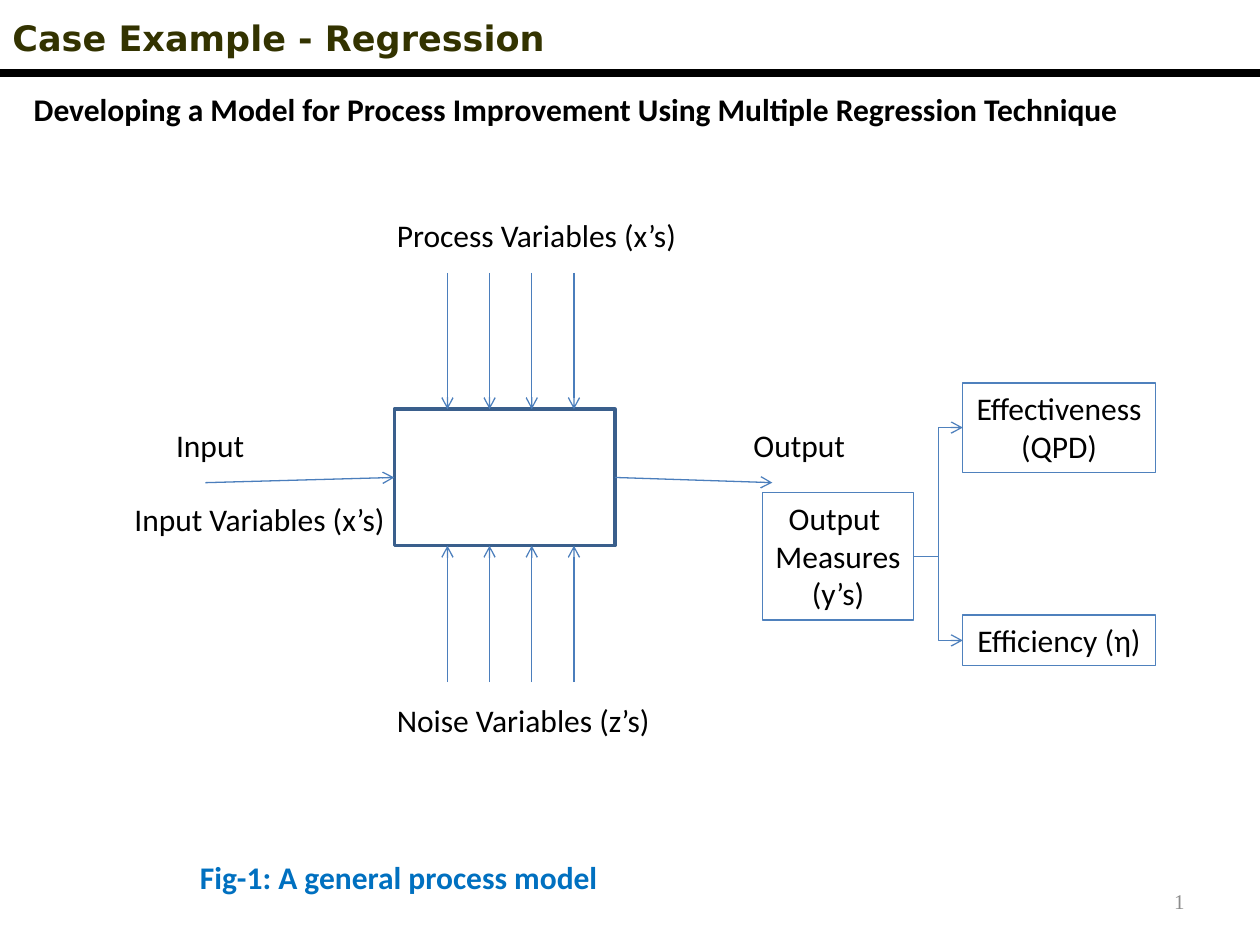
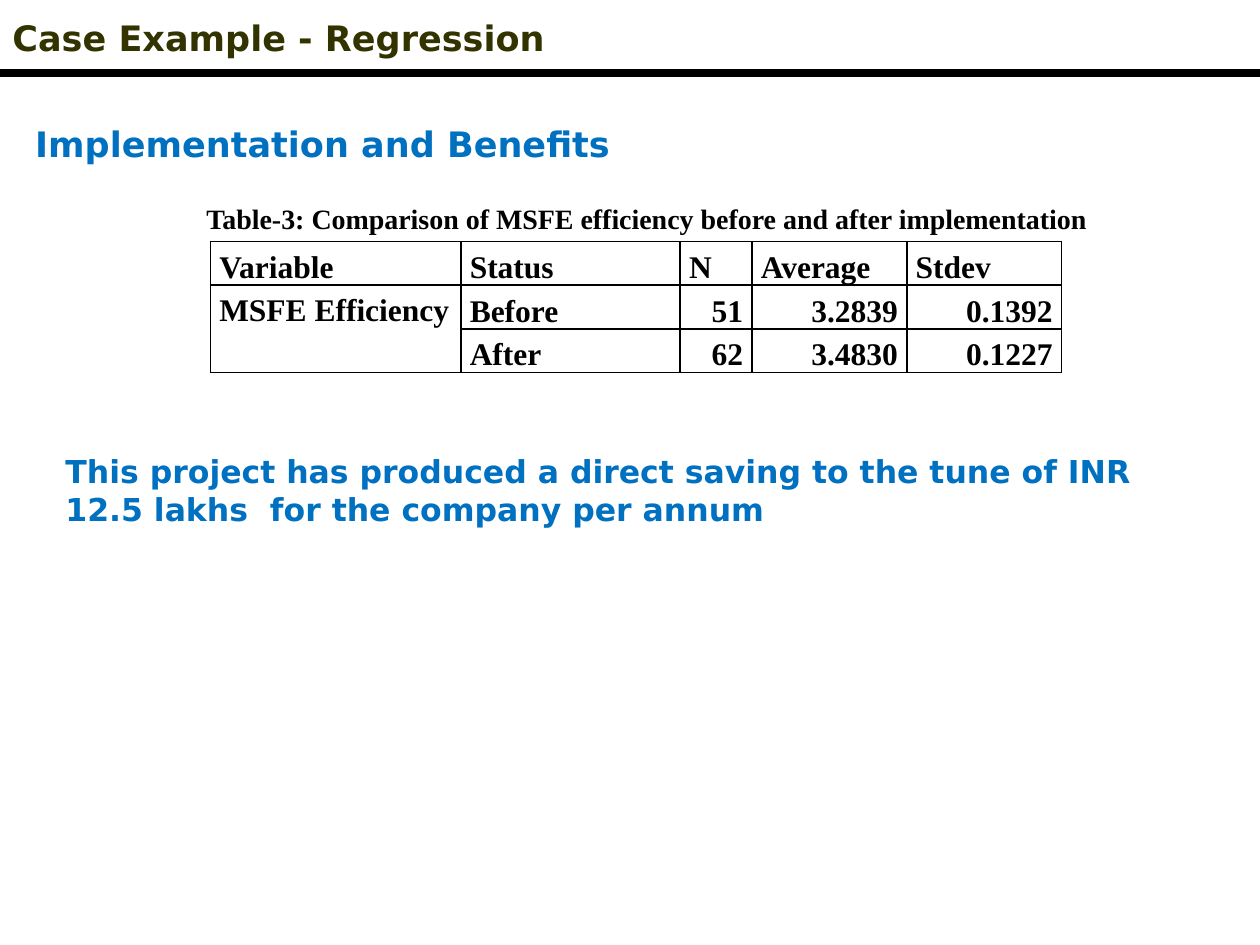
from pptx import Presentation
from pptx.dml.color import RGBColor
from pptx.enum.shapes import MSO_CONNECTOR, MSO_SHAPE
from pptx.enum.text import MSO_ANCHOR, PP_ALIGN
from pptx.oxml import parse_xml
from pptx.oxml.ns import nsdecls, qn
from pptx.util import Cm, Pt

STRAIGHT, ELBOW = MSO_CONNECTOR.STRAIGHT, MSO_CONNECTOR.ELBOW
RECT = MSO_SHAPE.RECTANGLE
TOP, MIDDLE, BOTTOM = MSO_ANCHOR.TOP, MSO_ANCHOR.MIDDLE, MSO_ANCHOR.BOTTOM
LEFT, CENTER, RIGHT, JUST = PP_ALIGN.LEFT, PP_ALIGN.CENTER, PP_ALIGN.RIGHT, PP_ALIGN.JUSTIFY
LEFT_SIDE, RIGHT_SIDE = 1, 3

BLACK, OLIVE, GREY, BLUE = "000000", "333300", "8C8C8C", "0070C0"
FLOW, FRAME, EDGE = "4B7EBC", "3A5F8C", "4F81BD"
SANS, WIDE, SERIF = "Calibri", "DejaVu Sans", "Times New Roman"
WIDTH, HEIGHT = 25.4, 19.05
LINE = 1.02  # height of a one-line text box


def color(code):
    return RGBColor.from_string(code)


class Deck:
    """Holds the shared style and the slide being filled; lengths are in cm."""

    def __init__(self):
        self.prs = Presentation()
        self.prs.slide_width, self.prs.slide_height = Cm(WIDTH), Cm(HEIGHT)
        self.slide = None

    def page(self, title):
        self.slide = self.prs.slides.add_slide(self.prs.slide_layouts[6])
        self.link((0, 1.48), (WIDTH, 1.48), BLACK, 4.5, arrow=False)
        self.text(title, 0, 0.2, 19.25, 1.09, size=20, font=WIDE, tint=OLIVE, bold=True)

    def style(self, frame, size=18, font=SANS, tint=BLACK, bold=False, align=LEFT):
        for par in frame.paragraphs:
            par.alignment = align
            par.font.size, par.font.name, par.font.bold = Pt(size), font, bold
            par.font.color.rgb = color(tint)

    def text(self, words, x, y, w, h=LINE, wrap=True, anchor=TOP, **look):
        frame = self.slide.shapes.add_textbox(Cm(x), Cm(y), Cm(w), Cm(h)).text_frame
        frame.word_wrap, frame.vertical_anchor = wrap, anchor
        frame.text = words
        self.style(frame, **look)

    def box(self, words, x, y, w, h, edge=EDGE, width=0.75):
        box = self.slide.shapes.add_shape(RECT, Cm(x), Cm(y), Cm(w), Cm(h))
        box.shadow.inherit = False
        box.fill.background()
        box.line.color.rgb, box.line.width = color(edge), Pt(width)
        if words:
            frame = box.text_frame
            frame.word_wrap, frame.vertical_anchor = False, TOP
            frame.text = words
            self.style(frame, align=CENTER)
        return box

    def link(self, start, end, tint=FLOW, width=0.75, kind=STRAIGHT, arrow=True):
        """Each end is an (x, y) point or a (shape, side) pair."""
        spots = [(0, 0) if hasattr(a, "line") else (a, b) for a, b in (start, end)]
        link = self.slide.shapes.add_connector(kind, *(Cm(v) for spot in spots for v in spot))
        for (shape, side), join in ((start, link.begin_connect), (end, link.end_connect)):
            if hasattr(shape, "line"):
                join(shape, side)
        link.line.color.rgb, link.line.width = color(tint), Pt(width)
        props = link.element.spPr
        if arrow:
            props.find(qn("a:ln")).append(parse_xml(f'<a:tailEnd {nsdecls("a")} type="arrow"/>'))
        props.append(parse_xml(f'<a:effectLst {nsdecls("a")}/>'))

    def cell(self, cell, words, align, anchor):
        cell.fill.background()
        cell.vertical_anchor = anchor
        cell.margin_left = cell.margin_right = Cm(0.18)
        cell.margin_top = cell.margin_bottom = 0
        cell.text = words
        self.style(cell.text_frame, font=SERIF, bold=True, align=align)
        cell.text_frame.paragraphs[0].line_spacing = 1.15
        props = cell._tc.get_or_add_tcPr()
        for i, side in enumerate("LRTB"):
            props.insert(i, parse_xml(
                f'<a:ln{side} {nsdecls("a")} w="{Pt(1)}"><a:solidFill>'
                f'<a:srgbClr val="{BLACK}"/></a:solidFill></a:ln{side}>'))

    def table(self, rows, x, y, widths, high):
        """The first column's body cells are merged into one."""
        table = self.slide.shapes.add_table(
            len(rows), len(widths), Cm(x), Cm(y), Cm(sum(widths)), Cm(high * len(rows))).table
        table.first_row = table.horz_banding = False
        for col, width in zip(table.columns, widths):
            col.width = Cm(width)
        for r, row in enumerate(rows):
            table.rows[r].height = Cm(high)
            for c, words in enumerate(row):
                align = RIGHT if r and c > 1 else LEFT
                anchor = TOP if r and c == 0 else BOTTOM
                self.cell(table.cell(r, c), words, align, anchor)
        table.cell(1, 0).merge(table.cell(len(rows) - 1, 0))
        table.cell(1, 0).margin_top = Cm(0.05)


def model(deck):
    deck.page("Case Example - Regression")
    deck.text("1", 18.21, 17.65, 5.92, anchor=MIDDLE, size=12, font=SERIF, tint=GREY, align=RIGHT)
    deck.text("Developing a Model for Process Improvement Using Multiple Regression Technique",
              0.43, 1.7, 24.97, bold=True)

    top, high = 8.25, 2.75
    core = deck.box("", 7.95, top, 4.45, high, FRAME, 2)
    deck.link((4.14, 9.73), (core, LEFT_SIDE))
    deck.link((core, RIGHT_SIDE), (15.57, 9.73))
    for i in range(4):
        x = 9.02 + 0.85 * i
        deck.link((x, top - high), (x, top))
        deck.link((x, top + 2 * high), (x, top + high))

    for words, x, y, w in (
        ("Input", 3.3, 8.46, 1.91),
        ("Output", 14.94, 8.46, 2.39),
        ("Process Variables (x’s)", 7.75, 4.24, 6.2),
        ("Noise Variables (z’s)", 7.75, 14, 5.66),
        ("Input Variables (x’s)", 2.46, 9.96, 5.61),
    ):
        deck.text(words, x, y, w, wrap=False)

    output = deck.box("Output \nMeasures\n(y’s)", 15.37, 9.93, 3.05, 2.57)
    for words, y, h in (("Effectiveness\n(QPD)", 7.72, 1.8), ("Efficiency (η)", 12.4, LINE)):
        goal = deck.box(words, 19.41, y, 3.88, h)
        deck.link((output, RIGHT_SIDE), (goal, LEFT_SIDE), EDGE, kind=ELBOW)

    deck.text("Fig-1: A general process model", 3.78, 17.17, 8.92, wrap=False, tint=BLUE, bold=True)


def gains(deck):
    deck.page("Case Example - Regression")
    deck.text("Implementation and Benefits", 0.46, 2.34, 12.24, 1.12, wrap=False, anchor=MIDDLE,
              size=20, font=WIDE, tint=BLUE, bold=True, align=JUST)
    deck.table([
        ("Variable", "Status", "N", "Average", "Stdev"),
        ("MSFE Efficiency", "Before", "51", "3.2839", "0.1392"),
        ("", "After", "62", "3.4830", "0.1227"),
    ], 4.24, 4.87, (5.05, 4.42, 1.45, 3.12, 3.12), 0.88)
    deck.text("Table-3: Comparison of MSFE efficiency before and after implementation",
              3.91, 3.94, 18.52, 0.94, wrap=False, anchor=MIDDLE, size=16, font=SERIF, bold=True)
    deck.text("This project has produced a direct saving to the tune of INR 12.5 lakhs  "
              "for the company per annum",
              1.07, 8.99, 22.43, 1.8, font=WIDE, tint=BLUE, bold=True)


def main():
    deck = Deck()
    model(deck)
    gains(deck)
    deck.prs.save("out.pptx")


if __name__ == "__main__":
    main()
